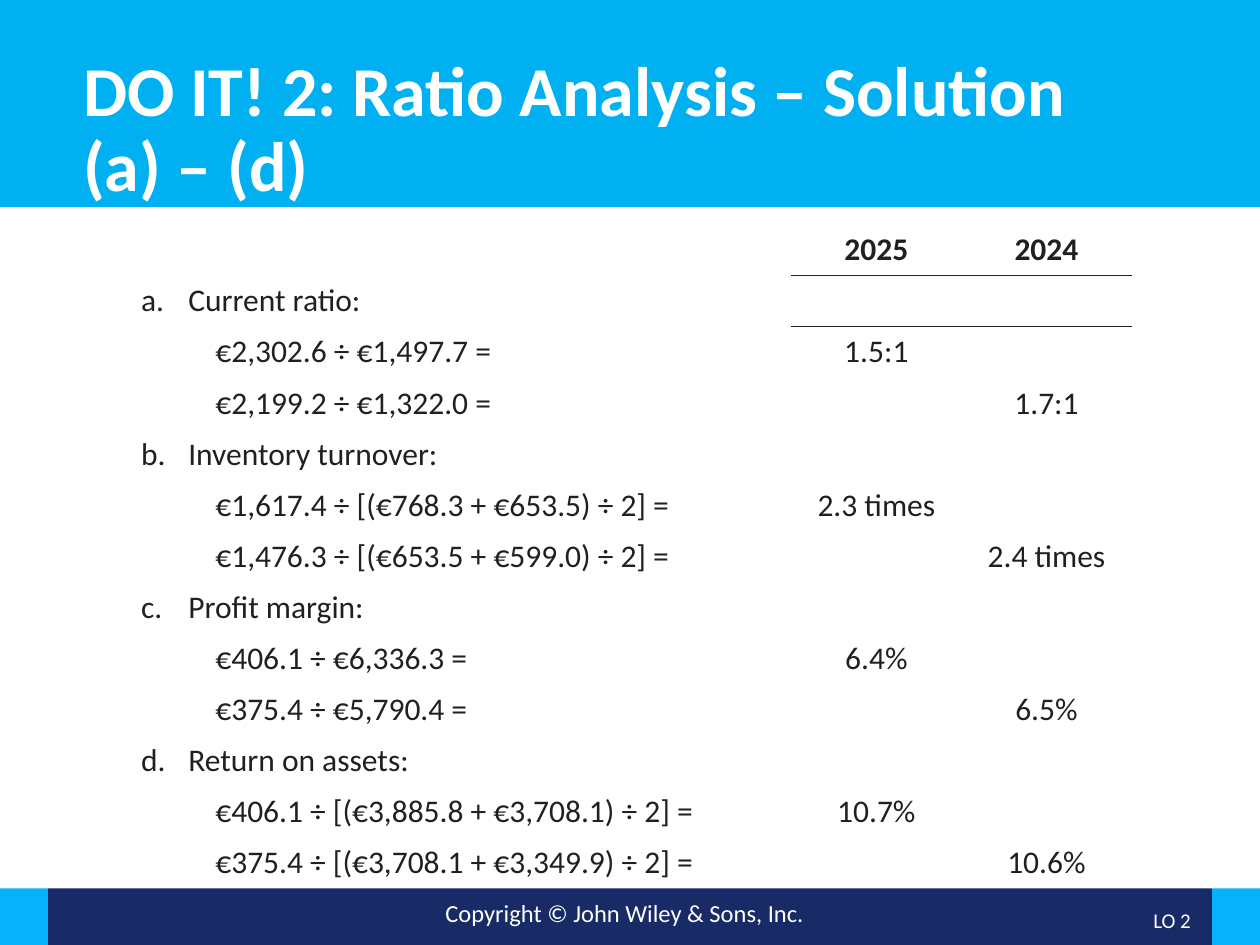
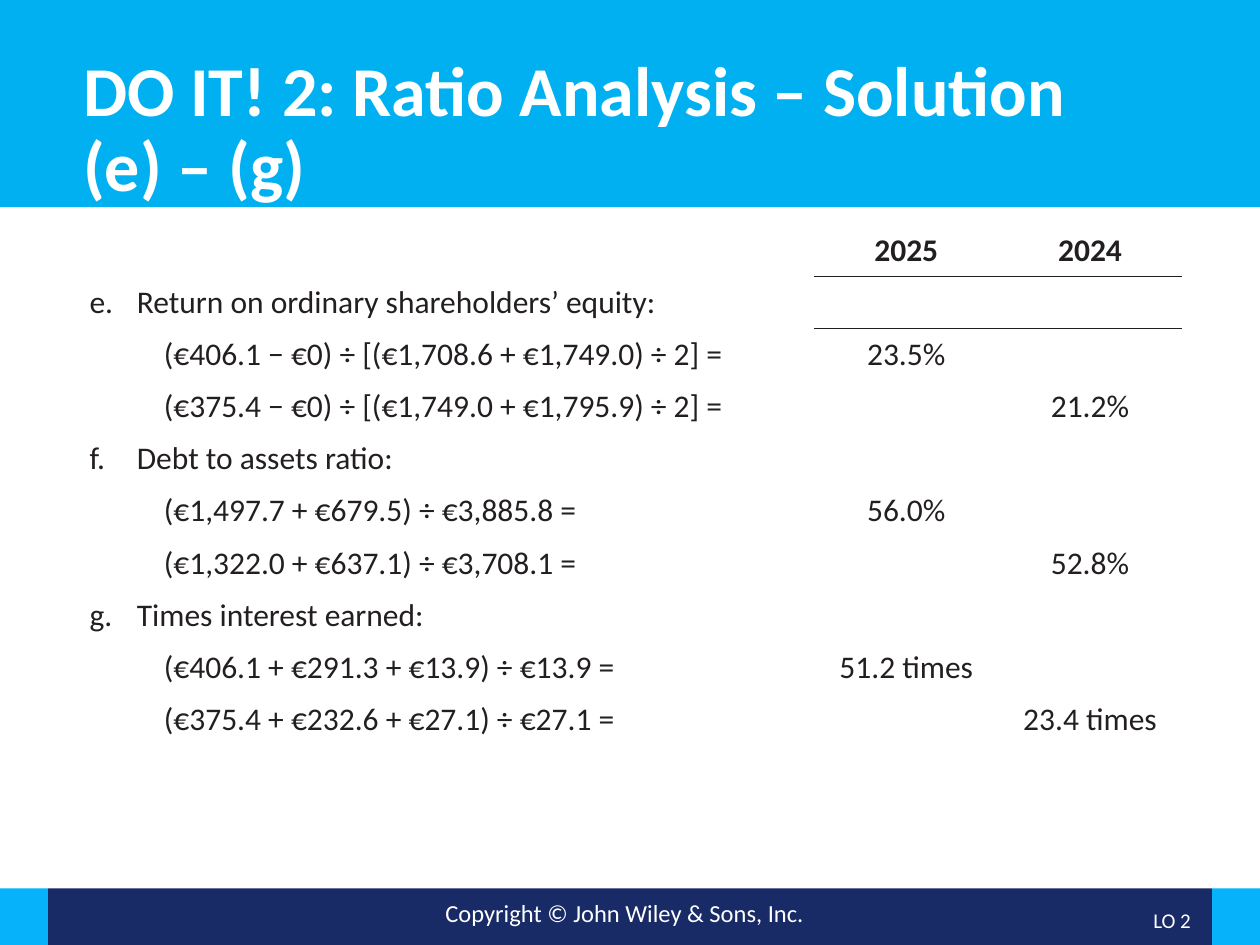
"""Build two slides of ratio analysis solutions."""
from lxml.etree import SubElement as add_child
from pptx import Presentation
from pptx.dml.color import RGBColor as Rgb
from pptx.enum.shapes import MSO_SHAPE as Shape
from pptx.enum.text import MSO_ANCHOR as Anchor, MSO_AUTO_SIZE as AutoSize, PP_ALIGN as Align
from pptx.oxml.ns import qn
from pptx.util import Pt

COLORS = {"title_band": "00B0F0", "accent": "06B2FA", "footer": "192B67",
          "light": "FFFFFF", "ink": "231F20"}
FONT = "Calibri"
TITLE = "DO IT! 2: Ratio Analysis – Solution"
COPYRIGHT = "Copyright © John Wiley & Sons, Inc."
OBJECTIVE = "LO 2"
YEARS = ("2025", "2024")
PLAIN_STYLE = "{2D5ABB26-0587-4C30-8999-92F81FD0307C}"
SLIDE_WIDTH, SLIDE_HEIGHT = 720, 540
TITLE_BAND_HEIGHT = 118.4
FOOTER_TOP, FOOTER_END = 507.6, 27.4
TABLE_TOP = 128.2
NUMBER_INDENT, FORMULA_INDENT = 27, 42.5

SOLUTIONS = [
    {"parts": "(a) – (d)", "first": 1, "left": 73.4, "columns": (378.8, 97.2, 97.2),
     "row_height": 29.2, "ratios": [
         ("Current ratio:", ("€2,302.6 ÷ €1,497.7 =", "1.5:1"),
          ("€2,199.2 ÷ €1,322.0 =", "1.7:1")),
         ("Inventory turnover:", ("€1,617.4 ÷ [(€768.3 + €653.5) ÷ 2] =", "2.3 times"),
          ("€1,476.3 ÷ [(€653.5 + €599.0) ÷ 2] =", "2.4 times")),
         ("Profit margin:", ("€406.1 ÷ €6,336.3 =", "6.4%"),
          ("€375.4 ÷ €5,790.4 =", "6.5%")),
         ("Return on assets:", ("€406.1 ÷ [(€3,885.8 + €3,708.1) ÷ 2] =", "10.7%"),
          ("€375.4 ÷ [(€3,708.1 + €3,349.9) ÷ 2] =", "10.6%")),
     ]},
    {"parts": "(e) – (g)", "first": 5, "left": 44, "columns": (421.4, 105, 105),
     "row_height": 29.8, "ratios": [
         ("Return on ordinary shareholders’ equity:",
          ("(€406.1 − €0) ÷ [(€1,708.6 + €1,749.0) ÷ 2] =", "23.5%"),
          ("(€375.4 − €0) ÷ [(€1,749.0 + €1,795.9) ÷ 2] =", "21.2%")),
         ("Debt to assets ratio:", ("(€1,497.7 + €679.5) ÷ €3,885.8 =", "56.0%"),
          ("(€1,322.0 + €637.1) ÷ €3,708.1 =", "52.8%")),
         ("Times interest earned:", ("(€406.1 + €291.3 + €13.9) ÷ €13.9 =", "51.2 times"),
          ("(€375.4 + €232.6 + €27.1) ÷ €27.1 =", "23.4 times")),
     ]},
]


def apply_format(target, **values):
    """Set each named attribute on the target."""
    for name, value in values.items():
        setattr(target, name, value)


def style_text(paragraph, size, color, bold=False, **layout):
    """Format a paragraph and its font."""
    apply_format(paragraph, **layout)
    apply_format(paragraph.font, name=FONT, size=Pt(size), bold=bold)
    paragraph.font.color.rgb = Rgb.from_string(COLORS[color])


def add_band(slide, left, top, width, height, color):
    """Add a plain coloured rectangle."""
    band = slide.shapes.add_shape(Shape.RECTANGLE, Pt(left), Pt(top), Pt(width), Pt(height))
    band.shadow.inherit = False
    band.fill.solid()
    band.fill.fore_color.rgb = Rgb.from_string(COLORS[color])
    band.line.fill.background()


def add_footer_text(slide, text, left, top, width, height, size, align, anchor):
    """Add one line of white text on the footer."""
    box = slide.shapes.add_textbox(Pt(left), Pt(top), Pt(width), Pt(height))
    apply_format(box.text_frame, text=text, word_wrap=True, vertical_anchor=anchor)
    style_text(box.text_frame.paragraphs[0], size, "light", alignment=align)


def add_frame(slide):
    """Add the title band and the footer."""
    middle = SLIDE_WIDTH - 2 * FOOTER_END
    height = SLIDE_HEIGHT - FOOTER_TOP
    add_band(slide, FOOTER_END, FOOTER_TOP, middle, height, "footer")
    for left in (0, SLIDE_WIDTH - FOOTER_END):
        add_band(slide, left, FOOTER_TOP, FOOTER_END, height, "accent")
    add_band(slide, 0, 0, SLIDE_WIDTH, TITLE_BAND_HEIGHT, "title_band")
    add_footer_text(slide, COPYRIGHT, 180, 509.8, 354, 24.5, 14, Align.CENTER, Anchor.TOP)
    add_footer_text(slide, OBJECTIVE, 628.6, 511.2, 59, 28.8, 12, Align.RIGHT, Anchor.MIDDLE)


def set_title(slide, parts):
    """Place the two-line title above its band."""
    title = slide.shapes.title
    title.element.getparent().append(title.element)
    apply_format(title, left=Pt(40.3), top=Pt(28.2), width=Pt(639.4), height=Pt(75))
    apply_format(title.text_frame, text=f"{TITLE}\v{parts}", word_wrap=True,
                 auto_size=AutoSize.NONE, vertical_anchor=Anchor.TOP)
    style_text(title.text_frame.paragraphs[0], 40, "light", True,
               alignment=Align.LEFT, line_spacing=0.9)


def indent(paragraph, margin, first_line, number=None):
    """Indent a paragraph and letter it when a number is given."""
    properties = paragraph._p.get_or_add_pPr()
    properties.set("marL", str(Pt(margin)))
    properties.set("indent", str(Pt(first_line)))
    if number:
        add_child(properties, qn("a:buAutoNum"), type="alphaLcPeriod", startAt=str(number))


def underline_cell(cell):
    """Rule the bottom edge of a cell."""
    rule = add_child(cell._tc.get_or_add_tcPr(), qn("a:lnB"), w=str(Pt(1)))
    add_child(add_child(rule, qn("a:solidFill")), qn("a:srgbClr"), val=COLORS["ink"])


def fill_cell(cell, text, align=Align.LEFT, bold=False):
    """Write one table cell and return its paragraph."""
    cell.fill.background()
    apply_format(cell, text=text, vertical_anchor=Anchor.MIDDLE)
    paragraph = cell.text_frame.paragraphs[0]
    style_text(paragraph, 18, "ink", bold, alignment=align)
    return paragraph


def ratio_rows(ratios, first):
    """List the table rows as label, two results and letter number."""
    rows = [("", *YEARS, None)]
    for number, (name, (formula, result), (prior_formula, prior_result)) in enumerate(ratios, first):
        rows += [(name, "", "", number), (formula, result, "", None),
                 (prior_formula, "", prior_result, None)]
    return rows


def add_ratio_table(slide, solution):
    """Add the table of ratios for both years."""
    rows = ratio_rows(solution["ratios"], solution["first"])
    widths, row_height = solution["columns"], solution["row_height"]
    table = slide.shapes.add_table(
        len(rows), len(widths), Pt(solution["left"]), Pt(TABLE_TOP),
        Pt(sum(widths)), Pt(row_height * len(rows))).table
    apply_format(table, first_row=False, horz_banding=False)
    table._tbl.tblPr.find(qn("a:tableStyleId")).text = PLAIN_STYLE
    for column, width in zip(table.columns, widths):
        column.width = Pt(width)
    for index, (label, *results, number) in enumerate(rows):
        table.rows[index].height = Pt(row_height)
        label_paragraph = fill_cell(table.cell(index, 0), label)
        if number:
            indent(label_paragraph, NUMBER_INDENT, -NUMBER_INDENT, number)
        elif label:
            indent(label_paragraph, 0, FORMULA_INDENT)
        for year, result in enumerate(results, 1):
            cell = table.cell(index, year)
            if index < 2:
                underline_cell(cell)
            fill_cell(cell, result, Align.CENTER, bold=index == 0)


def main():
    """Build and save the presentation."""
    deck = Presentation()
    apply_format(deck, slide_width=Pt(SLIDE_WIDTH), slide_height=Pt(SLIDE_HEIGHT))
    for solution in SOLUTIONS:
        slide = deck.slides.add_slide(deck.slide_layouts.get_by_name("Title Only"))
        add_frame(slide)
        set_title(slide, solution["parts"])
        add_ratio_table(slide, solution)
    deck.save("out.pptx")


if __name__ == "__main__":
    main()
